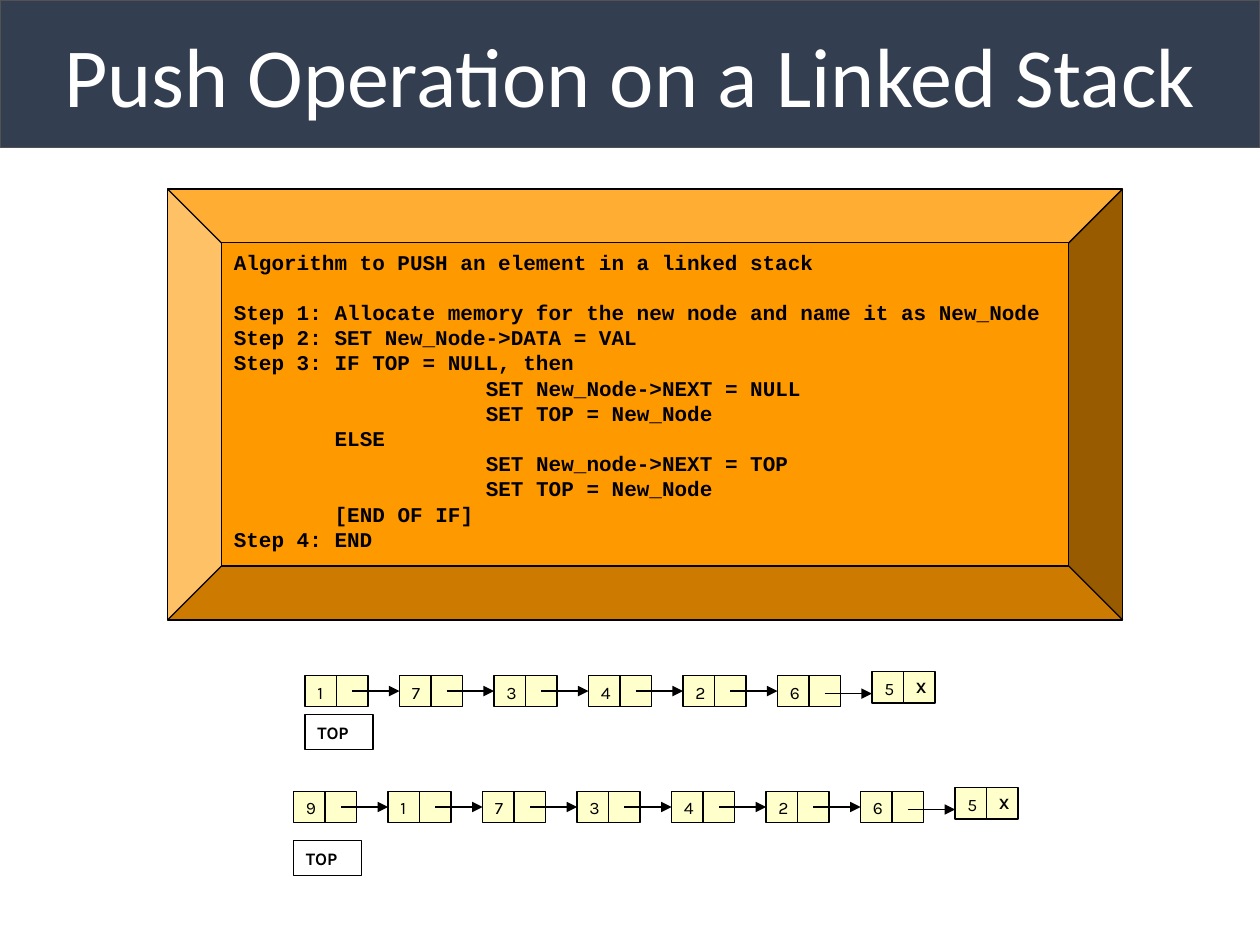
from lxml.etree import SubElement
from pptx import Presentation
from pptx.dml.color import RGBColor
from pptx.enum.shapes import MSO_CONNECTOR, MSO_SHAPE
from pptx.enum.text import MSO_ANCHOR, MSO_AUTO_SIZE, PP_ALIGN
from pptx.oxml.ns import qn
from pptx.util import Inches, Pt

SLIDE_WIDTH, SLIDE_HEIGHT = 10, 7.5
CELL = 0.25
NODE_STEP = 3 * CELL
LAST_NODE_RISE = 0.03
LAST_ARROW_DROP = 0.02
CODE_CHAR = 0.1
CODE_LINE = 14.4

# Each line: indent in characters, blank lines before it, text
ALGORITHM = [
    (0, 0, "Algorithm to PUSH an element in a linked stack"),
    (0, 1, "Step 1: Allocate memory for the new node and name it as New_Node"),
    (0, 0, "Step 2: SET New_Node->DATA = VAL"),
    (0, 0, "Step 3: IF TOP = NULL, then"),
    (20, 0, "SET New_Node->NEXT = NULL"),
    (20, 0, "SET TOP = New_Node"),
    (8, 0, "ELSE"),
    (20, 0, "SET New_node->NEXT = TOP"),
    (20, 0, "SET TOP = New_Node"),
    (8, 0, "[END OF IF]"),
    (0, 0, "Step 4: END"),
]


def color(hex_string):
    return RGBColor.from_string(hex_string)


def write(paragraph, text, font="Karla", size=10, ink="000000", bold=False,
          align=PP_ALIGN.LEFT):
    paragraph.alignment = align
    run = paragraph.add_run()
    run.text = text
    run.font.name = font
    run.font.size = Pt(size)
    run.font.bold = bold
    run.font.color.rgb = color(ink)


def add_box(shapes, kind, box, fill=None, line="000000", weight=0.75,
            anchor=MSO_ANCHOR.TOP):
    shape = shapes.add_shape(kind, *map(Inches, box))
    shape.shadow.inherit = False
    if fill:
        shape.fill.solid()
        shape.fill.fore_color.rgb = color(fill)
    else:
        shape.fill.background()
    shape.line.color.rgb = color(line)
    shape.line.width = Pt(weight)
    shape.text_frame.vertical_anchor = anchor
    return shape


def add_arrow(shapes, start, end, target=None):
    """Draw an arrow, joined to the left side of target if one is given."""
    arrow = shapes.add_connector(MSO_CONNECTOR.STRAIGHT, *map(Inches, start + end))
    arrow.line.color.rgb = color("000000")
    arrow.line.width = Pt(0.75)
    SubElement(arrow.line._get_or_add_ln(), qn("a:tailEnd"), type="triangle")
    SubElement(arrow._element.spPr, qn("a:effectLst"))
    if target is not None:
        arrow.end_connect(target, 1)


def add_title(shapes, box):
    banner = add_box(shapes, MSO_SHAPE.ROUNDED_RECTANGLE, box, "333F50", "525252", 1,
                     MSO_ANCHOR.MIDDLE)
    banner.adjustments[0] = 0
    write(banner.text_frame.paragraphs[0], "Push Operation on a Linked Stack",
          font="Calibri", size=48, ink="FFFFFF", align=PP_ALIGN.CENTER)


def add_algorithm(shapes, box):
    panel = add_box(shapes, MSO_SHAPE.BEVEL, box, "FF9900")
    panel.adjustments[0] = 0.125
    frame = panel.text_frame
    for index, (indent, blank_lines, step) in enumerate(ALGORITHM):
        paragraph = frame.add_paragraph() if index else frame.paragraphs[0]
        paragraph.line_spacing = Pt(CODE_LINE)
        paragraph.space_before = Pt(blank_lines * CODE_LINE)
        paragraph._p.get_or_add_pPr().set("marL", str(Inches(indent * CODE_CHAR)))
        write(paragraph, step, font="Courier New", size=12, bold=True)


def add_node(shapes, left, top, value, is_last):
    """Add a data cell and a pointer cell; return the data cell."""
    data, pointer = [
        add_box(shapes, MSO_SHAPE.RECTANGLE, (left + column * CELL, top, CELL, CELL),
                "FFFFCC")
        for column in range(2)
    ]
    write(data.text_frame.paragraphs[0], value)
    if is_last:
        write(pointer.text_frame.paragraphs[0], "X", size=9, bold=True)
    return data


def add_linked_stack(slide, left, top, values, label_offset):
    shapes = slide.shapes.add_group_shape().shapes
    last = len(values) - 1
    nodes = [
        add_node(shapes, left + index * NODE_STEP,
                 top - (LAST_NODE_RISE if index == last else 0), value, index == last)
        for index, value in enumerate(values)
    ]
    for index, target in enumerate(nodes[1:]):
        node_left = left + index * NODE_STEP
        reaches_last = index + 1 == last
        middle = top + CELL / 2 + (LAST_ARROW_DROP if reaches_last else 0)
        add_arrow(shapes, (node_left + 1.5 * CELL, middle),
                  (node_left + NODE_STEP, middle), None if reaches_last else target)

    label = add_box(shapes, MSO_SHAPE.RECTANGLE, (left, top + label_offset, 0.54, 0.28),
                    anchor=MSO_ANCHOR.MIDDLE)
    label.text_frame.word_wrap = False
    label.text_frame.auto_size = MSO_AUTO_SIZE.SHAPE_TO_FIT_TEXT
    write(label.text_frame.paragraphs[0], "TOP", bold=True)


def main():
    presentation = Presentation()
    presentation.slide_width = Inches(SLIDE_WIDTH)
    presentation.slide_height = Inches(SLIDE_HEIGHT)
    slide = presentation.slides.add_slide(presentation.slide_layouts[6])

    add_title(slide.shapes, (0, 0, SLIDE_WIDTH, 1.17))
    add_algorithm(slide.shapes, (1.33, 0.2 * SLIDE_HEIGHT, 7.58, 3.42))
    add_linked_stack(slide, 2.42, 5.36, "1734265", label_offset=0.31)
    add_linked_stack(slide, 2.33, 6.28, "91734265", label_offset=0.39)
    presentation.save("out.pptx")


if __name__ == "__main__":
    main()
